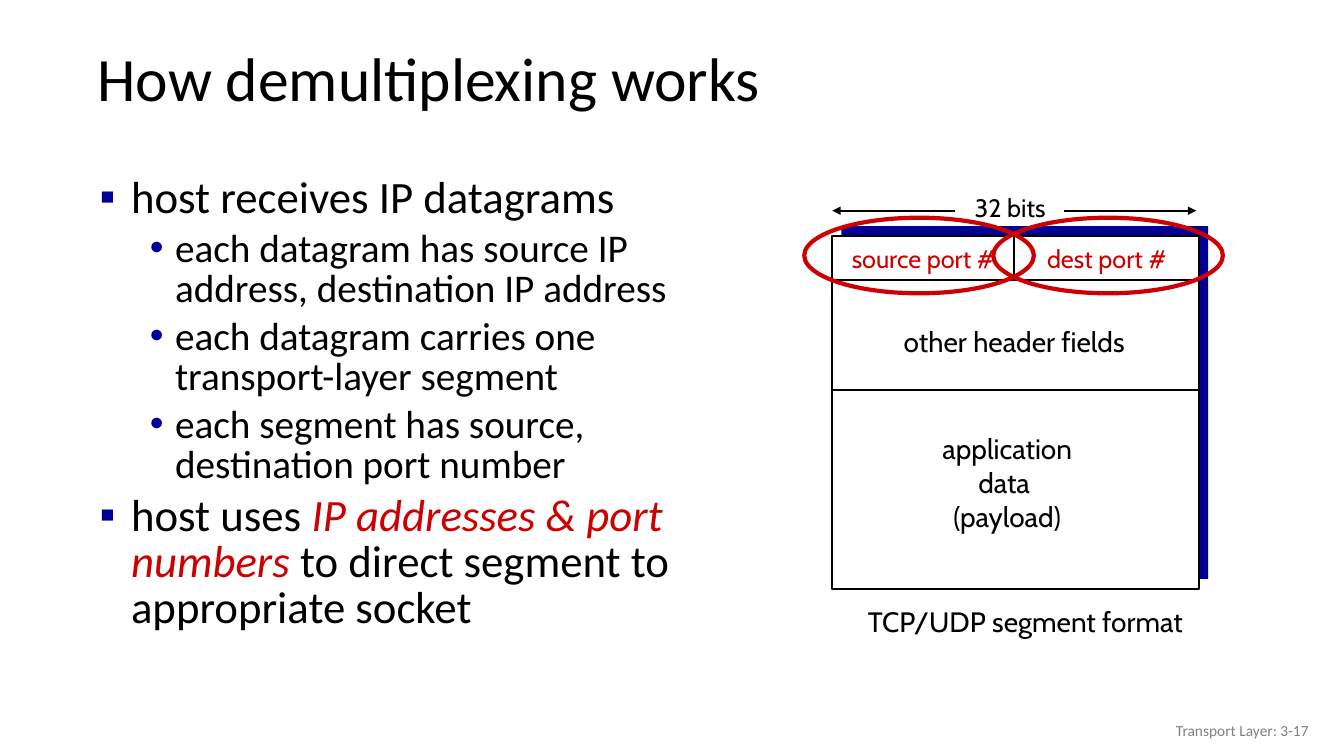
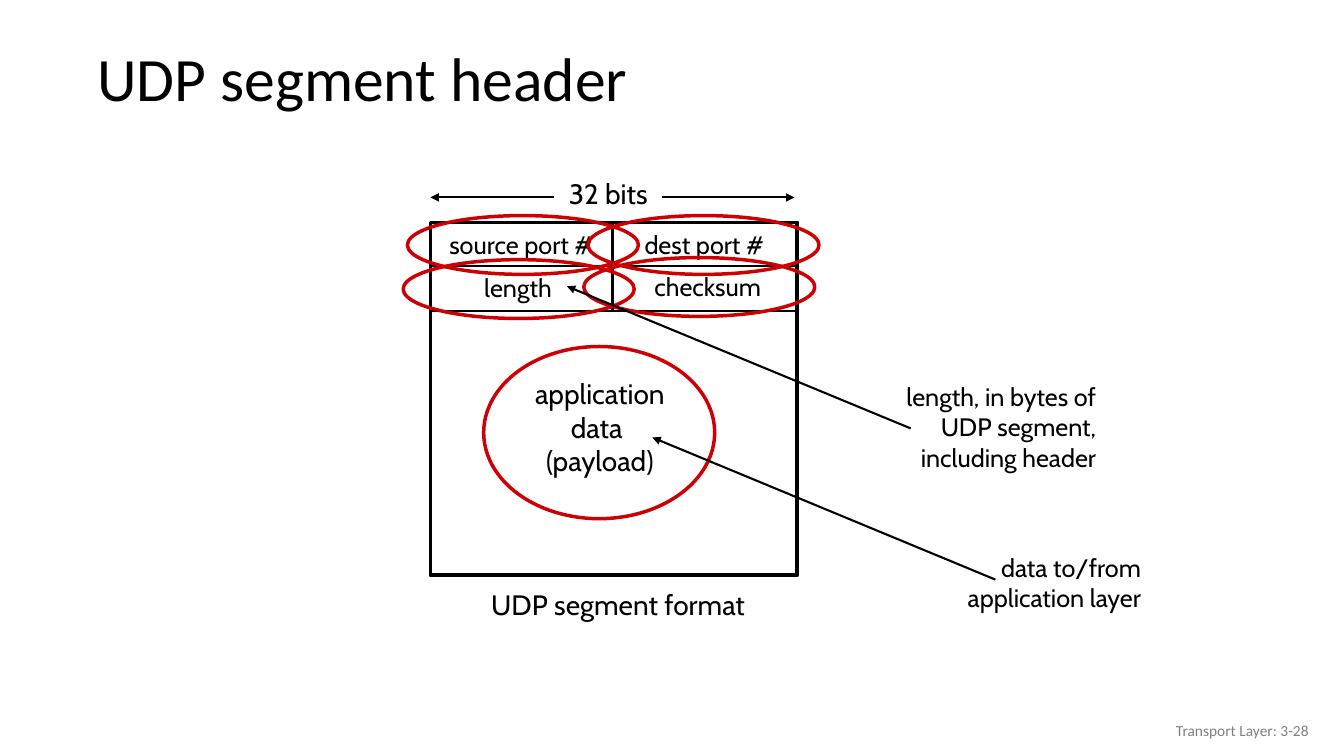
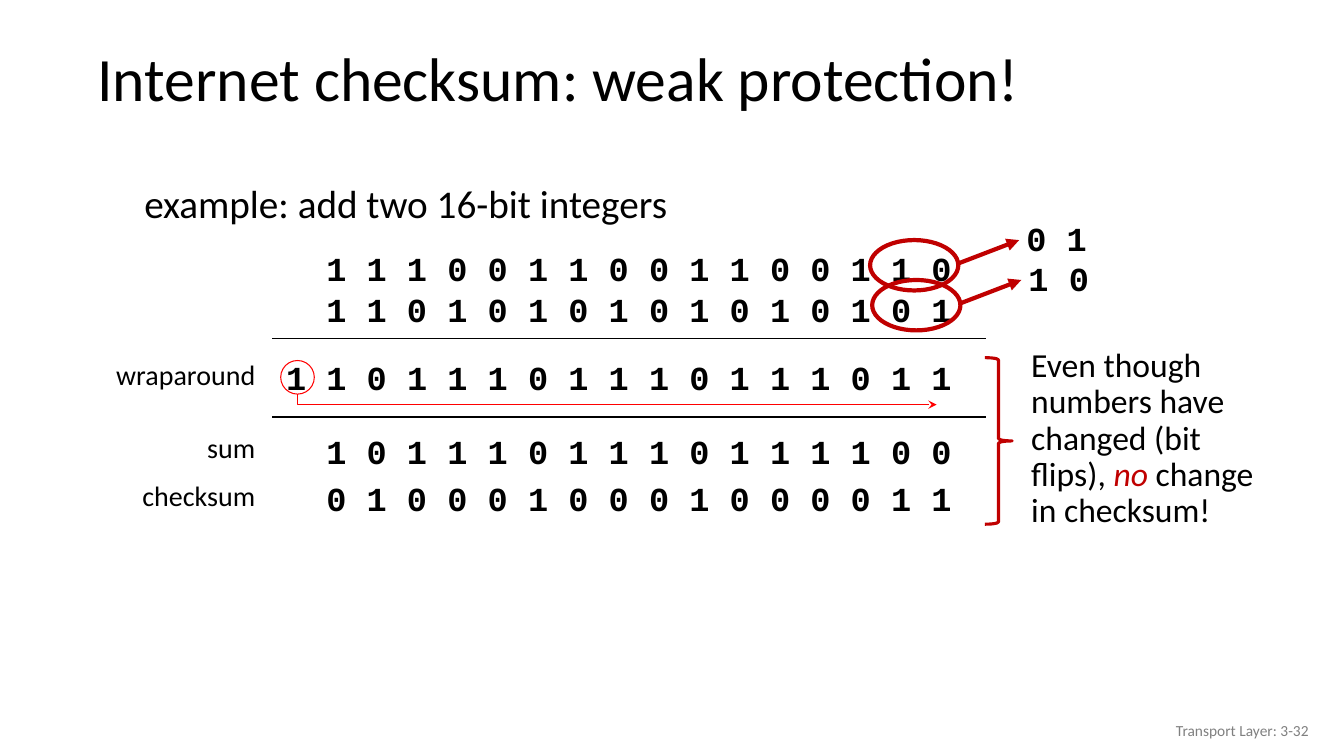
from pptx import Presentation
from pptx.dml.color import RGBColor
from pptx.enum.shapes import MSO_CONNECTOR as Link, MSO_SHAPE as Preset
from pptx.enum.text import MSO_ANCHOR as Anchor, PP_ALIGN as Align
from pptx.oxml.ns import qn
from pptx.util import Pt
from lxml.etree import SubElement

COLORS = {
    "ink": "000000",
    "paper": "FFFFFF",
    "navy": "000099",
    "accent": "CC0000",
    "ring": "CD0004",
    "flip": "C00000",
    "wrap": "FF0000",
    "footer": "808080",
}
BODY, DIAGRAM, CODE = "Calibri", "Cabin", "Courier New"
SEGMENT_WIDTH, SEGMENT_HEIGHT, SEGMENT_SPLIT = 262, 252, 130
BIT_PITCH = 28.8


def rgb(name):
    """Return the named colour."""
    return RGBColor.from_string(COLORS[name])


def add_spans(para, spans, size, font):
    """Add (text, colour, italic) spans to a paragraph."""
    for text, color, italic in spans:
        span = para.add_run()
        span.text = text
        span.font.size = Pt(size)
        span.font.name = font
        span.font.color.rgb = rgb(color)
        span.font.italic = italic


def add_text(page, bounds, lines, size, font=BODY, color="ink", align=Align.LEFT,
             anchor=Anchor.TOP, wrap=True, spacing=None, bold=False):
    """Add a text box; each line is a string or a list of spans."""
    box = page.shapes.add_textbox(*map(Pt, bounds))
    frame = box.text_frame
    frame.word_wrap = wrap
    frame.vertical_anchor = anchor
    for index, line in enumerate(lines):
        para = frame.paragraphs[0] if index == 0 else frame.add_paragraph()
        para.alignment = align
        if spacing:
            para.line_spacing = spacing
        para.font.bold = bold
        spans = [(line, color, False)] if isinstance(line, str) else line
        add_spans(para, spans, size, font)
        for span in para.runs:
            span.font.bold = bold
    return box


def add_label(page, x, y, lines, size, color="ink"):
    """Centre diagram text on a point."""
    width, height = 250, 80
    add_text(page, (x - width / 2, y - height / 2, width, height), lines, size,
             DIAGRAM, color, Align.CENTER, Anchor.MIDDLE)


def style_shape(shape, fill=None, line=None, weight=1.5):
    """Set fill and outline, without shadow."""
    shape.shadow.inherit = False
    if fill:
        shape.fill.solid()
        shape.fill.fore_color.rgb = rgb(fill)
    else:
        shape.fill.background()
    if line:
        shape.line.color.rgb = rgb(line)
        shape.line.width = Pt(weight)
    else:
        shape.line.fill.background()


def add_shape(page, preset, bounds, fill=None, line=None, weight=1.5):
    """Add a styled preset shape."""
    shape = page.shapes.add_shape(preset, *map(Pt, bounds))
    style_shape(shape, fill, line, weight)


def add_ring(page, x, y, width, height, color, weight):
    """Draw an unfilled ellipse centred on a point."""
    bounds = (x - width / 2, y - height / 2, width, height)
    add_shape(page, Preset.OVAL, bounds, None, color, weight)


def add_head(shape, kind):
    """Put an arrowhead at the end of a line."""
    SubElement(shape.line._get_or_add_ln(), qn("a:tailEnd"), type=kind)


def add_line(page, start, end, color="ink", weight=1.5, arrow=False):
    """Draw a straight line or arrow."""
    line = page.shapes.add_connector(Link.STRAIGHT, *map(Pt, (*start, *end)))
    line.line.color.rgb = rgb(color)
    line.line.width = Pt(weight)
    if arrow:
        add_head(line, "triangle")
    SubElement(line._element.spPr, qn("a:effectLst"))


def add_page(deck, title, number):
    """Add a blank slide with the shared title and footer."""
    page = deck.slides.add_slide(deck.slide_layouts[6])
    add_text(page, (62.5, 23, 874, 70.5), [title], 44, anchor=Anchor.MIDDLE, spacing=0.9)
    add_text(page, (726, 507.5, 216, 29), [f"Transport Layer: 3-{number}"], 11,
             color="footer", align=Align.RIGHT, anchor=Anchor.MIDDLE)
    return page


def add_bullets(page, bounds, items):
    """Add a two-level bullet list of (level, spans) items."""
    levels = [("▪", 32, 22.5, 22.5), ("•", 28, 54, 18)]
    frame = page.shapes.add_textbox(*map(Pt, bounds)).text_frame
    frame.word_wrap = True
    for index, (level, spans) in enumerate(items):
        mark, size, margin, hang = levels[level]
        para = frame.paragraphs[0] if index == 0 else frame.add_paragraph()
        para.level = level
        para.line_spacing = 0.85
        if index:
            para.space_before = Pt(size * 0.2)
        props = para._p.get_or_add_pPr()
        props.set("marL", str(Pt(margin)))
        props.set("indent", str(-Pt(hang)))
        SubElement(SubElement(props, qn("a:buClr")), qn("a:srgbClr"), val=COLORS["navy"])
        SubElement(props, qn("a:buFont"), typeface="Arial")
        SubElement(props, qn("a:buChar"), char=mark)
        add_spans(para, spans, size, BODY)


def add_segment(page, left, top, weight, rows, splits, width_label, payload, caption, labels):
    """Draw a segment layout; inner positions are relative to its corner."""
    add_shape(page, Preset.RECTANGLE, (left, top, SEGMENT_WIDTH, SEGMENT_HEIGHT),
              "paper", "ink", weight)
    for y in rows:
        add_line(page, (left, top + y), (left + SEGMENT_WIDTH, top + y))
    split = left + SEGMENT_SPLIT
    add_line(page, (split, top), (split, top + splits))
    for start, end in ((165.5, 260), (88, 0)):
        add_line(page, (left + start, top - 18), (left + end, top - 18), arrow=True)
    y, size = width_label
    add_label(page, left + 127, top + y, ["32 bits"], size)
    x, y = payload
    add_label(page, left + x, top + y, ["application", "data ", "(payload)"], 20)
    x, y, text = caption
    add_label(page, left + x, top + y, [text], 20)
    for x, y, text, size, color in labels:
        add_label(page, left + x, top + y, [text], size, color)


def add_callout(page, left, top, text, start, end):
    """Add a right-aligned note and the arrow leading from it."""
    add_text(page, (left, top, 189.5, 72), [text], 18, DIAGRAM, align=Align.RIGHT)
    add_line(page, start, end, arrow=True)


def add_bits(page, top, bits):
    """Write bits in columns, with any carry left of the 16-bit field."""
    carry = BIT_PITCH * (len(bits) - 16)
    add_text(page, (226 - carry, top, 464.5 + carry, 36), [" ".join(bits)], 24, CODE,
             wrap=False, bold=True)


def add_flip(page, left, top, bits):
    """Ring the last two bits and point to their flipped values."""
    add_ring(page, left + 31.5, top + 18, 63, 36, "flip", 3)
    add_line(page, (left + 63.5, top + 16.5), (left + 106.5, top), "flip", 3, True)
    add_text(page, (left + 104.5, top - 19.5, 73, 36), [" ".join(bits)], 24, CODE,
             wrap=False, bold=True)


def add_wraparound(page, left, top):
    """Ring the carry bit and lead it to the last column."""
    add_ring(page, left, top - 12, 24, 24, "wrap", 0.75)
    points = [(left, top + 7.5), (left + 456.5, top + 7.5)]
    builder = page.shapes.build_freeform(Pt(left), Pt(top), scale=1.0)
    builder.add_line_segments([(Pt(x), Pt(y)) for x, y in points], close=False)
    path = builder.convert_to_shape()
    style_shape(path, None, "wrap", 0.75)
    add_head(path, "stealth")


def build_demultiplexing(deck):
    """Build the demultiplexing slide."""
    page = add_page(deck, "How demultiplexing works", 17)
    add_bullets(page, (64, 123, 449.5, 340), [
        (0, [("host receives IP datagrams", "ink", False)]),
        (1, [("each datagram has source IP address, destination IP address", "ink", False)]),
        (1, [("each datagram carries one transport-layer segment", "ink", False)]),
        (1, [("each segment has source, destination port number", "ink", False)]),
        (0, [("host uses ", "ink", False),
             ("IP addresses & port numbers", "accent", True),
             (" to direct segment to appropriate socket", "ink", False)]),
    ])
    left, top = 594.5, 168.5
    add_shape(page, Preset.RECTANGLE, (left + 6.5, top - 7, SEGMENT_WIDTH, SEGMENT_HEIGHT), "navy")
    add_segment(page, left, top, 1.5, (31.5, 110), 31.5, (-20, 18), (125, 176),
                (138, 275, "TCP/UDP segment format"), [
                    (65, 16, "source port #", 18, "accent"),
                    (196, 16, "dest port #", 18, "accent"),
                    (130, 75.5, "other header fields", 20, "ink"),
                ])
    for x in (62, 197):
        add_ring(page, left + x, top + 14, 164, 54, "ring", 3)


def build_udp_header(deck):
    """Build the UDP header slide."""
    page = add_page(deck, "UDP segment header", 28)
    left, top = 307.5, 159
    add_segment(page, left, top, 2.75, (31, 63), 63, (-21, 20), (121, 146),
                (134, 273, "UDP segment format"), [
                    (64.5, 15.5, "source port #", 18, "ink"),
                    (195.5, 15.5, "dest port #", 18, "ink"),
                    (62.5, 46.5, "length", 18, "ink"),
                    (198, 45.5, "checksum", 18, "ink"),
                ])
    for x, y, height in ((66, 16, 42), (195, 16, 42), (63, 47.5, 42), (192, 46, 42),
                         (120.5, 150, 123)):
        add_ring(page, left + x, top + y, 165, height, "ring", 2.5)
    add_callout(page, left + 293, top + 110, "length, in bytes of UDP segment, including header",
                (left + 343, top + 147), (left + 97.5, top + 45.5))
    add_callout(page, left + 325, top + 232, "data to/from application layer",
                (left + 403.5, top + 255), (left + 158.5, top + 153.5))


def build_checksum(deck):
    """Build the checksum example slide."""
    page = add_page(deck, "Internet checksum: weak protection!", 32)
    add_text(page, (96, 114.5, 612, 60), ["example: add two 16-bit integers"], 28, spacing=1.3)
    for top, bits in ((173.5, "1110011001100110"), (203, "1101010101010101"),
                      (251.5, "11011101110111011"), (304.5, "1011101110111100"),
                      (338, "0100010001000011")):
        add_bits(page, top, bits)
    for top, name in ((252, "wraparound"), (304, "sum"), (338.5, "checksum")):
        add_text(page, (60, top, 129.5, 31.5), [name], 20, align=Align.RIGHT)
    for y in (242, 298):
        add_line(page, (194.5, y), (704, y), weight=1)
    add_wraparound(page, 212.5, 281.5)
    add_flip(page, 621.5, 171.5, "01")
    add_flip(page, 623, 200, "10")
    add_shape(page, Preset.RIGHT_BRACE, (703.5, 255.5, 19.5, 119), None, "flip", 2.25)
    add_text(page, (729.5, 245.5, 189.5, 138), [[
        ("Even though numbers have changed (bit flips), ", "ink", False),
        ("no", "flip", True),
        (" change in checksum!", "ink", False),
    ]], 24, spacing=0.9)


def main():
    """Build and save the deck."""
    deck = Presentation()
    deck.slide_width, deck.slide_height = Pt(960), Pt(540)
    build_demultiplexing(deck)
    build_udp_header(deck)
    build_checksum(deck)
    deck.save("out.pptx")


if __name__ == "__main__":
    main()
